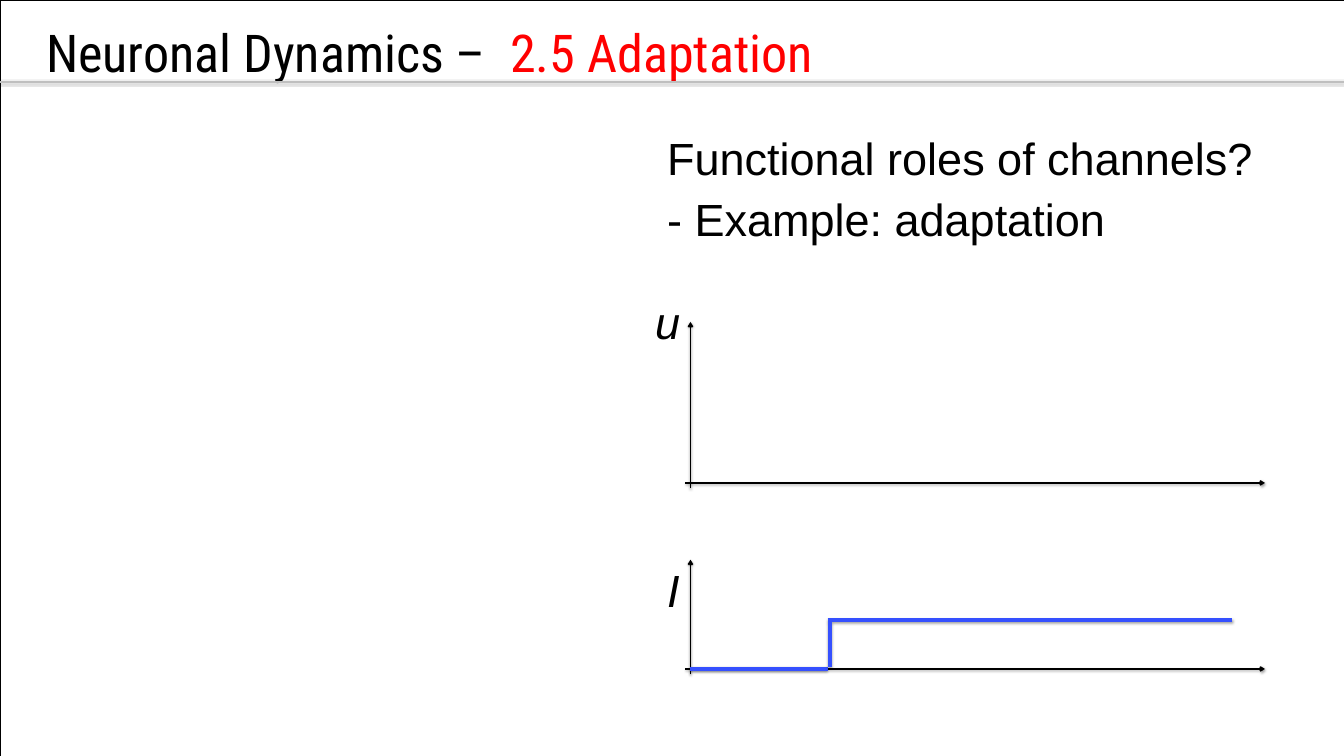
"""Build the adaptation slide: a title, two lines of text and two empty plots with a current step."""
from lxml import etree
from pptx import Presentation
from pptx import util as u
from pptx.dml.color import RGBColor
from pptx.enum import shapes, text
from pptx.oxml import ns

PX = 9144
BLACK, RED, GREY, BLUE = "000000", "FF0000", "BFBFBF", "3550FE"


def add_run(paragraph, words, font_name, size, color, italic=False):
    run = paragraph.add_run()
    run.text = words
    run.font.name = font_name
    run.font.size = u.Pt(size)
    run.font.bold = False
    run.font.italic = italic
    run.font.color.rgb = RGBColor.from_string(color)


def add_line(start, end, color, width, arrow=False):
    points = [value * PX for value in start + end]
    connector = slide.shapes.add_connector(shapes.MSO_CONNECTOR.STRAIGHT, *points)
    connector.line.color.rgb = RGBColor.from_string(color)
    connector.line.width = u.Pt(width)
    if arrow:
        etree.SubElement(connector.line._get_or_add_ln(), ns.qn("a:tailEnd"), type="arrow")
    effects = etree.SubElement(connector._element.spPr, ns.qn("a:effectLst"))
    shadow = etree.SubElement(effects, ns.qn("a:outerShdw"), blurRad="39370",
                              dist="20320", dir="5400000", rotWithShape="0")
    shade = etree.SubElement(shadow, ns.qn("a:srgbClr"), val=BLACK)
    etree.SubElement(shade, ns.qn("a:alpha"), val="38000")


presentation = Presentation()
presentation.slide_width = 2363 * PX
presentation.slide_height = 1329 * PX
slide = presentation.slides.add_slide(presentation.slide_layouts[5])

frame = slide.shapes.add_shape(shapes.MSO_SHAPE.RECTANGLE, 0, 0, 2363 * PX, 1329 * PX)
frame.shadow.inherit = False
frame.fill.background()
frame.line.color.rgb = RGBColor.from_string(BLACK)
frame.line.width = u.Pt(0.75)

title = slide.shapes.title
title.left, title.top, title.width, title.height = 76 * PX, 35 * PX, 2281 * PX, 161 * PX
title_frame = title.text_frame
title_frame.auto_size = text.MSO_AUTO_SIZE.NONE
title_frame.vertical_anchor = text.MSO_ANCHOR.TOP
title_frame.margin_left = 5 * PX
title_frame.margin_top = title_frame.margin_bottom = 0
heading = title_frame.paragraphs[0]
heading.alignment = text.PP_ALIGN.LEFT
add_run(heading, "Neuronal Dynamics – ", "Roboto Condensed", 66, BLACK)
add_run(heading, " 2.5 Adaptation", "Roboto Condensed", 66, RED)

add_line((-24, 144), (2363, 144), GREY, 2)

labels = [
    ("Functional roles of channels?", 1163, 225, 1061, False),
    ("- Example: adaptation", 1163, 331, 799, False),
    ("I", 1163, 984, 42, True),
    ("u", 1142, 513, 65, True),
]
for words, left, top, width, italic in labels:
    box = slide.shapes.add_textbox(left * PX, top * PX, width * PX, 106 * PX)
    box.text_frame.word_wrap = False
    box.text_frame.auto_size = text.MSO_AUTO_SIZE.SHAPE_TO_FIT_TEXT
    add_run(box.text_frame.paragraphs[0], words, "Arial", 57, BLACK, italic)

for baseline, axis_top in [(1176, 984), (849, 566)]:
    add_line((1205, baseline), (2224, baseline), BLACK, 2, arrow=True)
    add_line((1214, baseline + 9), (1214, axis_top), BLACK, 2, arrow=True)

current_step = [
    ((1214, 1176), (1455, 1176)),
    ((1455, 1090), (2166, 1090)),
    ((1459, 1094), (1459, 1172)),
]
for start, end in current_step:
    add_line(start, end, BLUE, 4.5)

presentation.save("out.pptx")
